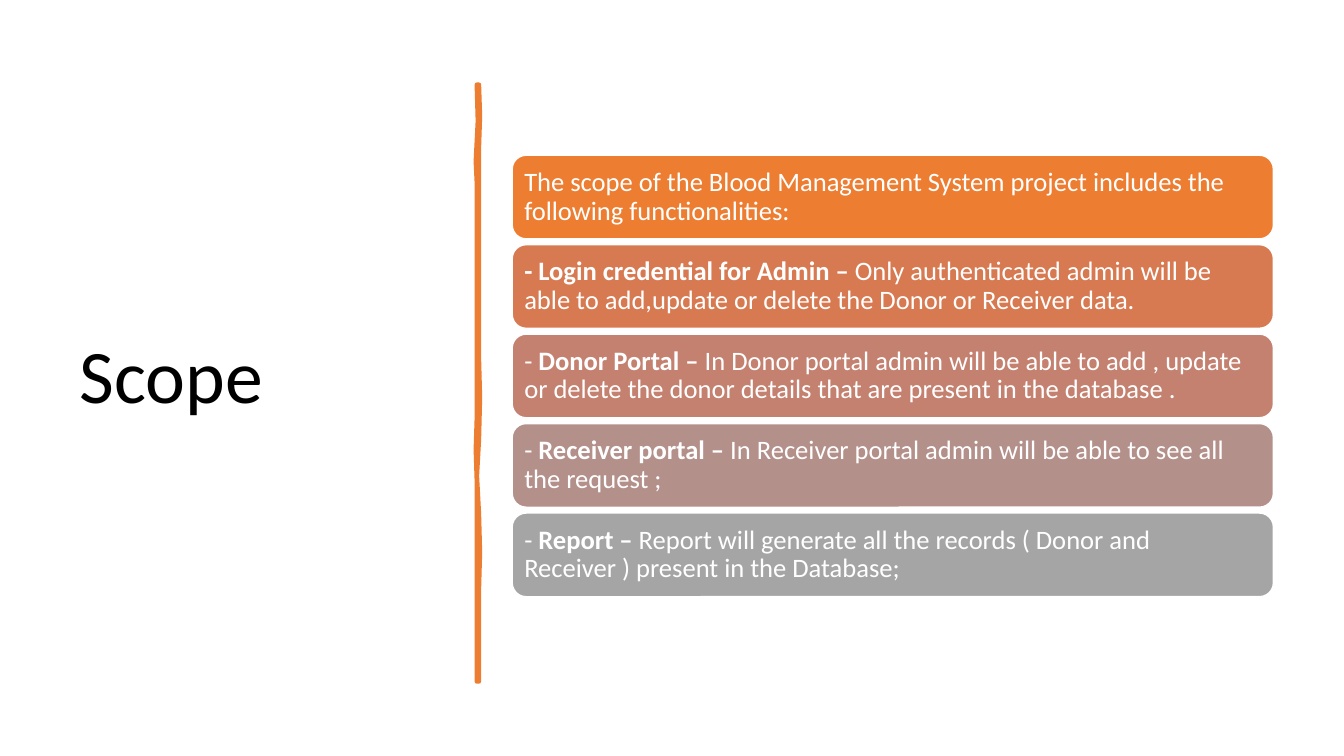
from pptx import Presentation
from pptx.dml.color import RGBColor
from pptx.enum.shapes import MSO_SHAPE
from pptx.enum.text import MSO_ANCHOR, MSO_AUTO_SIZE, PP_ALIGN
from pptx.util import Inches, Pt

ROUNDED = MSO_SHAPE.ROUNDED_RECTANGLE
MIDDLE = MSO_ANCHOR.MIDDLE
LEFT = PP_ALIGN.LEFT
NO_AUTOFIT = MSO_AUTO_SIZE.NONE

COLORS = {"black": "000000", "white": "FFFFFF", "orange": "ED7D31",
          "copper": "D87A51", "rose": "C48170", "mauve": "B4908B", "gray": "A5A5A5"}


def color(name):
    return RGBColor.from_string(COLORS[name])


def write_text(shape, spans, size, font_color, inset):
    """Fill a shape with one left-aligned paragraph of (text, bold) spans."""
    frame = shape.text_frame
    frame.word_wrap = True
    frame.auto_size = NO_AUTOFIT
    frame.vertical_anchor = MIDDLE
    frame.margin_left = frame.margin_right = Inches(inset)
    frame.margin_top = frame.margin_bottom = Inches(inset)
    para = frame.paragraphs[0]
    para.alignment = LEFT
    para.line_spacing = 0.9
    for text, bold in spans:
        span = para.add_run()
        span.text = text
        span.font.name = "Calibri"
        span.font.size = Pt(size)
        span.font.bold = bold
        span.font.color.rgb = color(font_color)


deck = Presentation()
deck.slide_width, deck.slide_height = Inches(13.33), Inches(7.5)
page = deck.slides.add_slide(deck.slide_layouts[5])

title = page.shapes.title
title.left, title.top = Inches(0.69), Inches(0.7)
title.width, title.height = Inches(3.74), Inches(6.11)
write_text(title, [("Scope", False)], size=54, font_color="black", inset=0.1)

# Hand-drawn divider: down the right edge, then back up the left one
divider_outline = [
    (4.75, 0.84), (4.76, 1.15), (4.75, 1.46), (4.75, 2.26), (4.75, 2.94),
    (4.75, 3.56), (4.76, 3.94), (4.75, 4.36), (4.73, 4.72), (4.75, 5.1),
    (4.76, 5.48), (4.75, 5.84), (4.75, 6.76),
    (4.73, 6.76), (4.73, 6.13), (4.73, 5.57), (4.73, 4.77), (4.72, 4.46),
    (4.73, 4.15), (4.73, 3.35), (4.73, 2.5), (4.73, 1.81), (4.72, 1.6),
    (4.74, 1.2), (4.73, 0.84),
]
points = [(Inches(x), Inches(y)) for x, y in divider_outline]
builder = page.shapes.build_freeform(*points[0])
builder.add_line_segments(points[1:], close=True)
divider = builder.convert_to_shape()
divider.shadow.inherit = False
divider.fill.solid()
divider.fill.fore_color.rgb = color("orange")
divider.line.color.rgb = color("orange")
divider.line.width = Pt(3.25)

cards = [
    ("orange", [("The scope of the Blood Management System project includes the "
                 "following functionalities:", False)]),
    ("copper", [("- Login credential for Admin – ", True),
                ("Only authenticated admin will be able to add,update or delete "
                 "the Donor or Receiver data.", False)]),
    ("rose", [("- ", False), ("Donor Portal – ", True),
              ("In Donor portal admin will be able to add , update or delete the "
               "donor details that are present in the database .", False)]),
    ("mauve", [("- ", False), ("Receiver portal – ", True),
               ("In Receiver portal admin will be able to see all the request ;", False)]),
    ("gray", [("- ", False), ("Report – ", True),
              ("Report will generate all the records ( Donor and Receiver ) "
               "present in the Database;", False)]),
]
FIRST_TOP, LAST_TOP = 1.54, 5.09
pitch = (LAST_TOP - FIRST_TOP) / (len(cards) - 1)
for index, (fill, spans) in enumerate(cards):
    card = page.shapes.add_shape(ROUNDED, Inches(5.08), Inches(FIRST_TOP + index * pitch),
                                 Inches(7.55), Inches(0.83))
    card.shadow.inherit = False
    card.fill.solid()
    card.fill.fore_color.rgb = color(fill)
    card.line.color.rgb = color("white")
    card.line.width = Pt(1)
    write_text(card, spans, size=19, font_color="white", inset=0.08)

deck.save("out.pptx")
